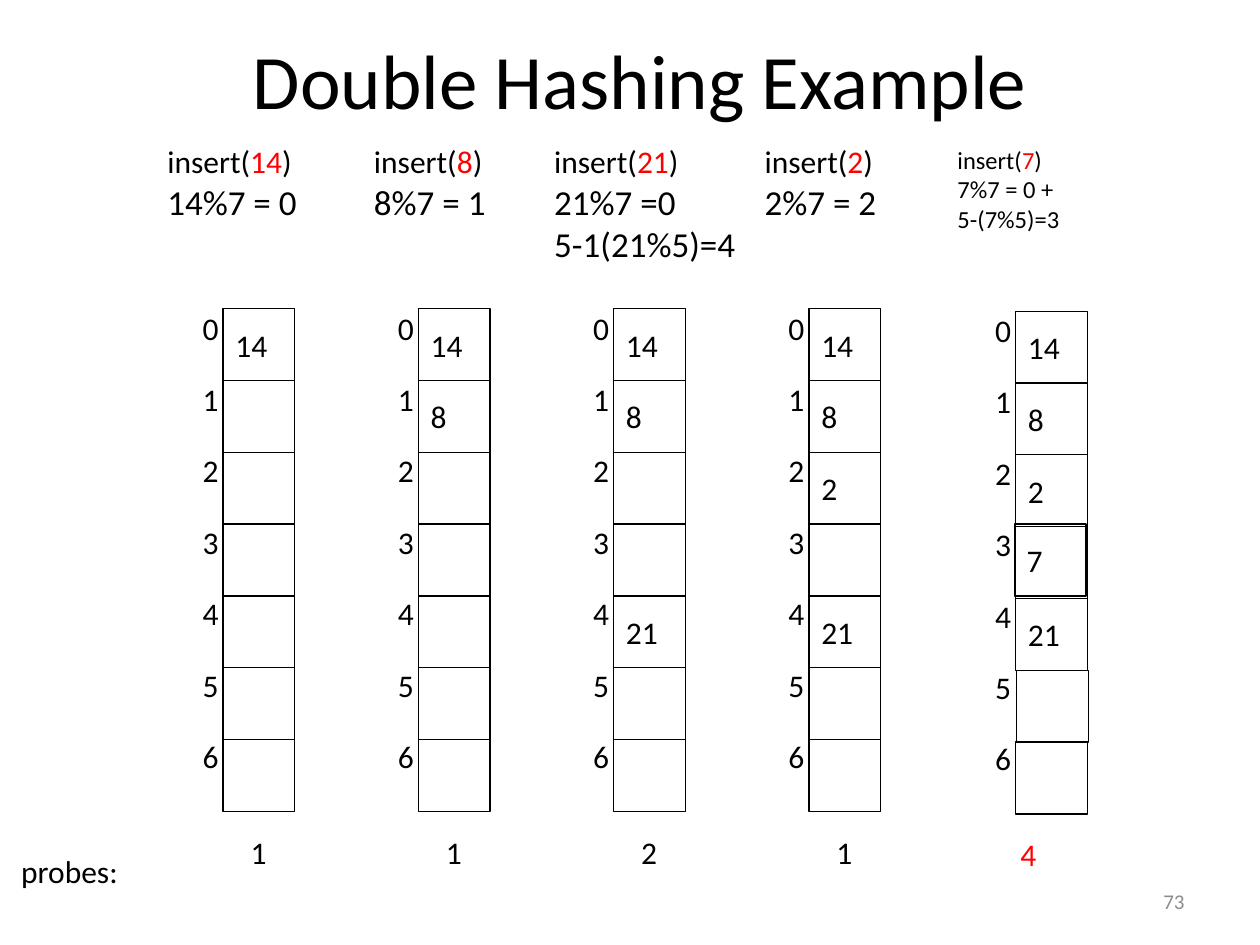
import pptx
import pptx.util
import pptx.dml.color
import pptx.enum.shapes
import pptx.enum.text
from dataclasses import dataclass

Inches = pptx.util.Inches
Align = pptx.enum.text.PP_ALIGN
Anchor = pptx.enum.text.MSO_ANCHOR

# Content: key, remaining header lines, table contents by slot, probes
TITLE = "Double Hashing Example"
PAGE_NUMBER = "73"
PROBES_LABEL = "probes:"
INSERTS = [
    ("14", ["14%7 = 0"], {0: "14"}, "1"),
    ("8", ["8%7 = 1"], {0: "14", 1: "8"}, "1"),
    ("21", ["21%7 =0", "5-1(21%5)=4"], {0: "14", 1: "8", 4: "21"}, "2"),
    ("2", ["2%7 = 2"], {0: "14", 1: "8", 2: "2", 4: "21"}, "1"),
    ("7", ["7%7 = 0 +", "5-(7%5)=3"], {0: "14", 1: "8", 2: "2", 4: "21"}, "4"),
]
SLOTS = 7
LAST = len(INSERTS) - 1


@dataclass(frozen=True)
class Theme:
    font: str = "Calibri"
    ink: str = "000000"
    accent: str = "FF0000"
    muted: str = "8C8C8C"
    title: int = 44
    formula: int = 20
    body: int = 18
    compact: int = 14
    footer: int = 12
    line: float = 0.75


THEME = Theme()

# Grid, in inches
CELL = 0.57
COLUMN_STEP = 1.55
FIRST_LEFT, TOP = 1.77, 2.45
LAST_LEFT, LAST_DROP = 8.06, 0.02
INDEX_SHIFT, INDEX_TOP, INDEX_STEP = 0.26, 2.4, 3.4 / 6
HEADER_TOP, PROBES_TOP = 1.08, 6.56
HEADERS = [(1.23, 1.5), (2.87, 1.33), (4.3, 1.65), (5.97, 1.33), (7.5, 1.02)]

deck = pptx.Presentation()
deck.slide_width, deck.slide_height = Inches(10), Inches(7.5)
page = deck.slides.add_slide(deck.slide_layouts[6])


def color(value):
    return pptx.dml.color.RGBColor.from_string(value)


def style(font, size, ink):
    font.name = THEME.font
    font.size = pptx.util.Pt(size)
    font.color.rgb = color(ink)


def write(para, text, size=THEME.body, ink=THEME.ink, align=Align.LEFT):
    para.text = text
    para.alignment = align
    style(para.font, size, ink)


def add_box(left, top, width, height, wrap=False, anchor=Anchor.TOP):
    box = page.shapes.add_textbox(*map(Inches, (left, top, width, height)))
    frame = box.text_frame
    frame.word_wrap = wrap
    frame.vertical_anchor = anchor
    if not wrap:
        frame.auto_size = pptx.enum.text.MSO_AUTO_SIZE.SHAPE_TO_FIT_TEXT
    return frame


def add_cell(left, top, value=""):
    cell = page.shapes.add_shape(
        pptx.enum.shapes.MSO_SHAPE.RECTANGLE, *map(Inches, (left, top, CELL, CELL)))
    cell.shadow.inherit = False
    cell.fill.background()
    cell.line.color.rgb = color(THEME.ink)
    cell.line.width = pptx.util.Pt(THEME.line)
    if value:
        cell.text_frame.word_wrap = False
        cell.text_frame.vertical_anchor = Anchor.MIDDLE
        write(cell.text_frame.paragraphs[0], value)


def add_header(column, key, formulas):
    left, width = HEADERS[column]
    compact = column == LAST
    top = HEADER_TOP + (LAST_DROP if compact else 0)
    key_size, formula_size = ((THEME.compact, THEME.compact) if compact
                              else (THEME.body, THEME.formula))
    frame = add_box(left, top, width, 0.58 + 0.25 * len(formulas))
    para = frame.paragraphs[0]
    for text, ink in (("insert(", THEME.ink), (key, THEME.accent), (")", THEME.ink)):
        span = para.add_run()
        span.text = text
        style(span.font, key_size, ink)
    for formula in formulas:
        write(frame.add_paragraph(), formula, formula_size)


# Title, page number and row label
write(add_box(0.83, 0, 8.5, 1.25, True, Anchor.MIDDLE).paragraphs[0],
      TITLE, THEME.title, align=Align.CENTER)
write(add_box(7.17, 6.95, 2.33, 0.4, True, Anchor.MIDDLE).paragraphs[0],
      PAGE_NUMBER, THEME.footer, THEME.muted, Align.RIGHT)
write(add_box(0.07, 6.71, 1.18, 0.5).paragraphs[0], PROBES_LABEL)

# One hash table per insertion
for column, (key, formulas, values, probes) in enumerate(INSERTS):
    is_last = column == LAST
    left = LAST_LEFT if is_last else FIRST_LEFT + column * COLUMN_STEP
    drop = LAST_DROP if is_last else 0
    add_header(column, key, formulas)
    for slot in range(SLOTS):
        nudge = 0.01 if is_last and slot == 5 else 0
        add_cell(left + nudge, TOP + drop + slot * CELL, values.get(slot, ""))
        index = add_box(left - INDEX_SHIFT, INDEX_TOP + drop + slot * INDEX_STEP, 0.33, 0.4)
        write(index.paragraphs[0], str(slot))
    if is_last:
        frame = add_box(8, PROBES_TOP + drop, 0.67, 0.5, wrap=True)
    else:
        frame = add_box(left + 0.12, PROBES_TOP, 0.37, 0.5)
    write(frame.paragraphs[0], probes, ink=THEME.accent if is_last else THEME.ink)

# The newly placed key lies over its slot, slightly offset
add_cell(LAST_LEFT - 0.01, TOP + 3 * CELL, INSERTS[LAST][0])

deck.save("out.pptx")
